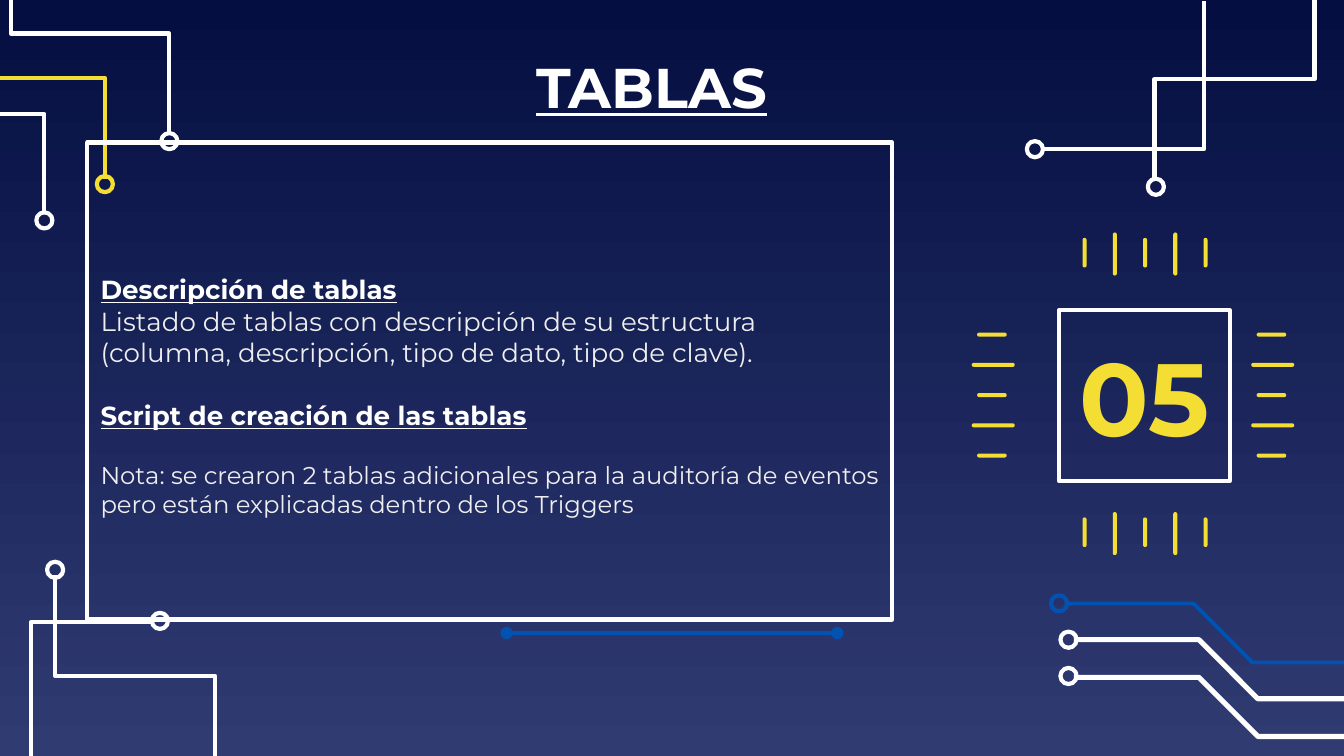
from dataclasses import dataclass
from lxml import etree
from pptx import Presentation
from pptx.dml.color import RGBColor
from pptx.enum.shapes import MSO_CONNECTOR, MSO_SHAPE
from pptx.enum.text import MSO_ANCHOR, PP_ALIGN
from pptx.oxml.ns import qn
from pptx.util import Inches, Pt

RECT, ROUND, OVAL = MSO_SHAPE.RECTANGLE, MSO_SHAPE.ROUNDED_RECTANGLE, MSO_SHAPE.OVAL
STRAIGHT = MSO_CONNECTOR.STRAIGHT
MIDDLE = MSO_ANCHOR.MIDDLE
LEFT, CENTER = PP_ALIGN.LEFT, PP_ALIGN.CENTER


@dataclass(frozen=True)
class Theme:
    """Colours, font, type sizes and line widths."""
    top: str = "040E41"
    base: str = "303B72"
    white: str = "FFFFFF"
    pale: str = "EFEFEF"
    gold: str = "F5DE34"
    blue: str = "0152B1"
    font: str = "Montserrat"
    number: int = 55
    title: int = 30
    body: int = 14
    note: int = 13
    line: float = 2.25
    thin: float = 2
    thick: float = 2.75


T = Theme()
RING = 0.12
STEP = 0.9 / 4
SPAN = 2.08

TRACES = [
    (T.white, T.line, [(0.41, 4.28), (0.41, 5.03), (1.6, 5.03), (1.6, 5.72)], (0.41, 4.24)),
    (T.white, T.line, [(1.13, 4.63), (0.23, 4.63), (0.23, 5.71)], (1.19, 4.62)),
    (T.white, T.line, [(7.75, 1.11), (8.96, 1.11), (8.96, 0.01)], (7.7, 1.11)),
    (T.white, T.line, [(8.59, 1.33), (8.59, 0.59), (9.78, 0.59), (9.78, -0.11)], (8.6, 1.39)),
    (T.white, T.line, [(0.33, 1.59), (0.33, 0.85), (-0.86, 0.85), (-0.86, 0.16)], (0.33, 1.64)),
    (T.gold, T.line, [(0.78, 1.33), (0.78, 0.58), (-0.4, 0.58), (-0.4, -0.11)], (0.78, 1.37)),
    (T.white, T.line, [(1.26, 1), (1.26, 0.25), (0.08, 0.25), (0.08, -0.43)], (1.26, 1.05)),
]
BUSES = [
    (T.blue, T.thin, 7.95, 4.49, (7.88, 4.49)),
    (T.white, T.thick, 7.99, 4.76, (7.95, 4.76)),
    (T.white, T.thick, 7.99, 5.04, (7.95, 5.03)),
]
BODY = [
    ("Descripción de tablas", T.body, True, 0),
    ("Listado de tablas con descripción de su estructura "
     "(columna, descripción, tipo de dato, tipo de clave).", T.body, False, 0),
    ("Script de creación de las tablas", T.body, True, 17),
    ("Nota: se crearon 2 tablas adicionales para la auditoría de eventos "
     "pero están explicadas dentro de los Triggers", T.note, False, 15.5),
]


def paint(shape, fill=None, line=None, width=T.line):
    """Set fill and outline, and drop the shadow."""
    shape.shadow.inherit = False
    if fill:
        shape.fill.solid()
        shape.fill.fore_color.rgb = RGBColor.from_string(fill)
    else:
        shape.fill.background()
    if line:
        shape.line.color.rgb = RGBColor.from_string(line)
        shape.line.width = Pt(width)
    else:
        shape.line.fill.background()


def add_trace(slide, color, width, points, ring):
    """Draw an open circuit path with a ring centred at its end."""
    spots = [(Inches(x), Inches(y)) for x, y in points]
    pen = slide.shapes.build_freeform(*spots[0])
    pen.add_line_segments(spots[1:], close=False)
    paint(pen.convert_to_shape(), line=color, width=width)
    x, y = ring
    dot = slide.shapes.add_shape(OVAL, Inches(x - RING / 2), Inches(y - RING / 2),
                                 Inches(RING), Inches(RING))
    paint(dot, line=color)


def add_bus(slide, color, width, x, y, ring):
    """Draw a path that steps down to the right edge."""
    points = [(x, y), (x + 0.93, y), (x + 1.37, y + 0.44), (x + 2.1, y + 0.44)]
    add_trace(slide, color, width, points, ring)


def add_tick(slide, x, y, wide, high):
    """Draw a round-ended tick around its centre."""
    tick = slide.shapes.add_shape(ROUND, Inches(x - wide / 2), Inches(y - high / 2),
                                  Inches(wide), Inches(high))
    tick.adjustments[0] = 0.5
    paint(tick, fill=T.gold)


def add_pins(slide):
    """Place five ticks on each side of the number box."""
    for side in (0, SPAN):
        for i in range(5):
            size, nudge = (0.32, 0.01) if i % 2 else (0.22, 0)
            add_tick(slide, 8.07 + i * STEP, 1.88 + nudge + side, 0.03, size)
            add_tick(slide, 7.38 + nudge + side, 2.49 + i * STEP, size, 0.03)


def add_link(slide, x, y, end):
    """Draw a level line with oval ends."""
    link = slide.shapes.add_connector(STRAIGHT, Inches(x), Inches(y), Inches(end), Inches(y))
    link.line.color.rgb = RGBColor.from_string(T.blue)
    link.line.width = Pt(T.line)
    line = link.line._get_or_add_ln()
    for tag in ("a:headEnd", "a:tailEnd"):
        etree.SubElement(line, qn(tag), type="oval")
    etree.SubElement(link._element.spPr, qn("a:effectLst"))


def set_frame(shape, top=0.1):
    """Wrap and centre the text of a shape vertically."""
    frame = shape.text_frame
    frame.word_wrap = True
    frame.vertical_anchor = MIDDLE
    frame.margin_left = frame.margin_right = frame.margin_bottom = Inches(0.1)
    frame.margin_top = Inches(top)
    return frame


def style(para, text, size, color, bold, under, align):
    """Fill one paragraph and set its font."""
    para.text = text
    para.alignment = align
    font = para.font
    font.name, font.size = T.font, Pt(size)
    font.bold, font.underline = bold, under
    font.color.rgb = RGBColor.from_string(color)


def add_number(slide):
    """Add the section number in its square."""
    box = slide.shapes.add_shape(RECT, Inches(7.88), Inches(2.31), Inches(1.27), Inches(1.27))
    paint(box, line=T.white)
    style(set_frame(box).paragraphs[0], "05", T.number, T.gold, True, False, CENTER)


def add_body(slide):
    """Add the framed description."""
    box = slide.shapes.add_textbox(Inches(0.65), Inches(1.06), Inches(5.99), Inches(3.55))
    box.line.color.rgb = RGBColor.from_string(T.white)
    box.line.width = Pt(T.line)
    frame = set_frame(box, 0.32)
    for i, (text, size, head, gap) in enumerate(BODY):
        para = frame.add_paragraph() if i else frame.paragraphs[0]
        style(para, text, size, T.white if head else T.pale, head, head, LEFT)
        para.space_before = Pt(gap)


def add_title(slide):
    """Add the slide title."""
    box = slide.shapes.add_textbox(Inches(2.53), Inches(0.31), Inches(4.64), Inches(0.67))
    style(set_frame(box).paragraphs[0], "TABLAS", T.title, T.white, True, True, CENTER)


def set_back(slide):
    """Fill the background from top to bottom."""
    fill = slide.background.fill
    fill.gradient()
    fill.gradient_angle = 270
    for stop, color in zip(fill.gradient_stops, (T.top, T.base)):
        stop.color.rgb = RGBColor.from_string(color)


def main():
    """Build and save the slide."""
    deck = Presentation()
    deck.slide_width = Inches(10)
    deck.slide_height = Inches(10 * 9 / 16)
    slide = deck.slides.add_slide(deck.slide_layouts[6])
    set_back(slide)
    for bus in BUSES:
        add_bus(slide, *bus)
    for trace in TRACES:
        add_trace(slide, *trace)
    add_number(slide)
    add_link(slide, 3.77, 4.71, 6.23)
    add_pins(slide)
    add_body(slide)
    add_title(slide)
    deck.save("out.pptx")


if __name__ == "__main__":
    main()
